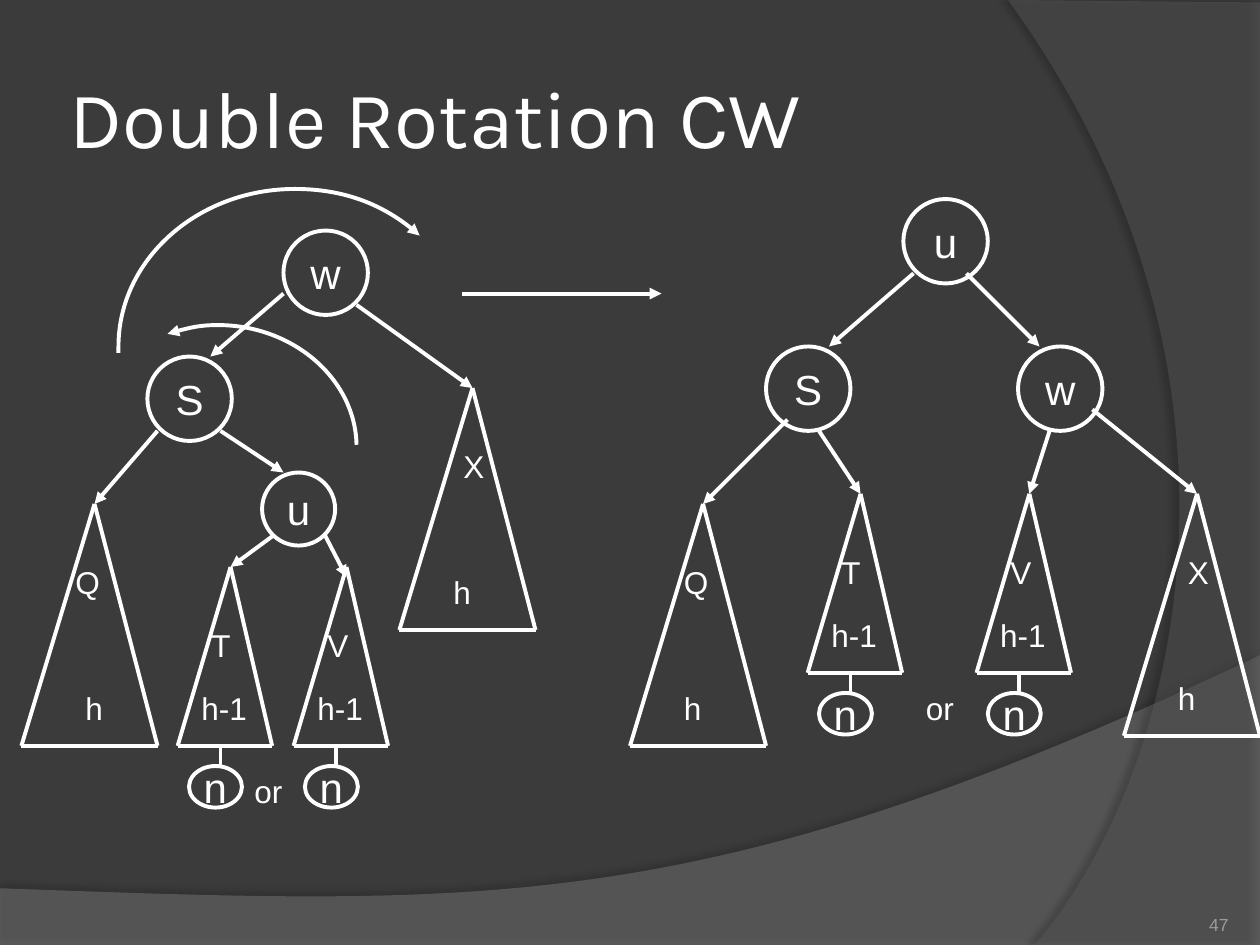
"""Build a slide showing a clockwise double rotation of a search tree."""
from dataclasses import dataclass

import pptx
import pptx.dml.color
import pptx.enum.shapes
import pptx.enum.text
import pptx.oxml.ns
import pptx.util
from lxml import etree

Inches = pptx.util.Inches
Align = pptx.enum.text.PP_ALIGN
Anchor = pptx.enum.text.MSO_ANCHOR
Fit = pptx.enum.text.MSO_AUTO_SIZE
qn = pptx.oxml.ns.qn
Point = tuple[float, float]
WHITE = "FFFFFF"


@dataclass
class Node:
    text: str
    left: float
    top: float
    width: float = 0.67
    height: float = 0.67


@dataclass
class Tree:
    name: str
    x: float
    y: float
    shift: float
    depth: str = "h"
    inset: float = -0.25


@dataclass
class Edge:
    start: Point
    end: Point
    tip: bool = True


@dataclass
class Label:
    text: str
    left: float
    top: float
    width: float


@dataclass
class Swoosh:
    corners: list[Point]
    curve: list[Point]
    fill: str
    alpha: int
    shade: int
    dist: float
    angle: int


NODES = [
    Node("S", 1.17, 2.83), Node("w", 2.25, 1.83),
    Node("u", 2.08, 3.75, 0.58, 0.58),
    Node("S", 6.08, 2.75), Node("u", 7.17, 1.58), Node("w", 8.08, 2.75),
]
TREES = [
    Tree("Q", 0.75, 4, -0.25, inset=-0.17), Tree("X", 3.75, 3.08, -0.17),
    Tree("T", 1.83, 4.5, -0.25, "h-1"), Tree("V", 2.75, 4.5, -0.25, "h-1"),
    Tree("Q", 5.58, 4, -0.25), Tree("X", 9.5, 3.92, -0.17),
    Tree("T", 6.83, 3.92, -0.25, "h-1"), Tree("V", 8.17, 3.92, -0.25, "h-1"),
]
EDGES = [
    Edge((1.25, 3.42), (0.75, 4)), Edge((1.75, 3.42), (2.25, 3.75)),
    Edge((2.25, 2.33), (1.67, 2.83)), Edge((2.83, 2.42), (3.75, 3.08)),
    Edge((2.17, 4.25), (1.83, 4.5)), Edge((2.58, 4.25), (2.75, 4.58)),
    Edge((3.67, 2.33), (5.25, 2.33)),
    Edge((6.25, 3.33), (5.58, 4)), Edge((6.5, 3.42), (6.83, 3.92)),
    Edge((8.33, 3.42), (8.17, 3.92)), Edge((8.67, 3.25), (9.5, 3.92)),
    Edge((7.25, 2.17), (6.58, 2.75)), Edge((7.67, 2.17), (8.25, 2.75)),
]
ARCS = [
    [(3.33, 1.87), (3.07, 1.63), (2.71, 1.5), (2.34, 1.5), (1.57, 1.5),
     (0.94, 2.06), (0.94, 2.75), (0.94, 2.77), (0.94, 2.79), (0.94, 2.8)],
    [(1.33, 2.65), (1.46, 2.61), (1.59, 2.58), (1.73, 2.58),
     (2.33, 2.58), (2.82, 3.01), (2.83, 3.53)],
]
SWOOSHES = [
    Swoosh([(0, 7.05), (0, 7.51), (10, 7.51)],
           [(10, 5.2), (5.59, 7.29), (3.91, 7.19), (0, 7.05)],
           "7F7F7F", 45, 35, 3.5, 270),
    Swoosh([(10, 0.02), (10, 7.5)],
           [(8.21, 7.5), (9.35, 6.19), (10.18, 3), (8, 0)],
           "5E5E5E", 40, 45, 4, 180),
]
WIDTHS = {"h": 0.34, "h-1": 0.56, "Q": 0.4, "X": 0.37, "T": 0.35, "V": 0.37}


def paint(code: str):
    return pptx.dml.color.RGBColor.from_string(code)


def write(frame, text: str, size: float, face: str = "Arial",
          code: str = WHITE, align=Align.LEFT, anchor=Anchor.TOP):
    frame.vertical_anchor = anchor
    para = frame.paragraphs[0]
    para.text, para.alignment = text, align
    para.font.size, para.font.name = pptx.util.Pt(size), face
    para.font.color.rgb = paint(code)


def stroke(shape, end: str = ""):
    shape.line.color.rgb = paint(WHITE)
    shape.line.width = pptx.util.Pt(2.25)
    if end:
        etree.SubElement(shape.element.spPr.find(qn("a:ln")), qn(f"a:{end}"), type="triangle")


def outline(shapes, corners: list[Point], curve: list[Point], close: bool):
    spots = [(Inches(x), Inches(y)) for x, y in corners + curve]
    pen = shapes.build_freeform(*spots[0])
    pen.add_line_segments(spots[1:], close=close)
    shape = pen.convert_to_shape()
    shape.shadow.inherit = False
    track = next(shape.element.iter(qn("a:path")))
    shape.width = min(shape.width, Inches(10) - shape.left)
    track.set("w", str(shape.width))
    legs = track.findall(qn("a:lnTo"))[:len(spots) - 1][1 - len(curve):]
    for i in range(0, len(legs), 3):
        bend = etree.Element(qn("a:cubicBezTo"))
        legs[i].addprevious(bend)
        for leg in legs[i:i + 3]:
            bend.append(leg[0])
            track.remove(leg)
    return shape


def draw_swoosh(shapes, item: Swoosh):
    shape = outline(shapes, item.corners, item.curve, True)
    shape.fill.solid()
    shape.fill.fore_color.rgb = paint(item.fill)
    shape.line.fill.background()
    spPr = shape.element.spPr
    color = spPr.find(f"{qn('a:solidFill')}/{qn('a:srgbClr')}")
    etree.SubElement(color, qn("a:alpha"), val=str(item.alpha * 1000))
    shade = etree.SubElement(
        spPr.find(qn("a:effectLst")), qn("a:outerShdw"), blurRad=str(pptx.util.Pt(4)),
        dist=str(pptx.util.Pt(item.dist)), dir=str(item.angle * 60000), rotWithShape="0")
    black = etree.SubElement(shade, qn("a:srgbClr"), val="000000")
    etree.SubElement(black, qn("a:alpha"), val=str(item.shade * 1000))


def draw_arc(shapes, curve: list[Point]):
    shape = outline(shapes, [], curve, False)
    shape.fill.background()
    stroke(shape, "headEnd")


def draw_edge(shapes, edge: Edge):
    ends = [Inches(v) for v in edge.start + edge.end]
    line = shapes.add_connector(pptx.enum.shapes.MSO_CONNECTOR.STRAIGHT, *ends)
    stroke(line, "tailEnd" if edge.tip else "")
    etree.SubElement(line.element.spPr, qn("a:effectLst"))


def draw_node(shapes, node: Node):
    box = [Inches(v) for v in (node.left, node.top, node.width, node.height)]
    shape = shapes.add_shape(pptx.enum.shapes.MSO_SHAPE.OVAL, *box)
    shape.shadow.inherit = False
    shape.fill.background()
    stroke(shape)
    shape.text_frame.word_wrap = False
    write(shape.text_frame, node.text, 24, align=Align.CENTER, anchor=Anchor.MIDDLE)


def draw_label(shapes, label: Label):
    box = [Inches(v) for v in (label.left, label.top, label.width, 0.4)]
    frame = shapes.add_textbox(*box).text_frame
    frame.word_wrap, frame.auto_size = False, Fit.SHAPE_TO_FIT_TEXT
    write(frame, label.text, 18)


def draw_tree(shapes, tree: Tree):
    x, y, small = tree.x, tree.y, tree.depth == "h-1"
    left, right, tall = (0.42, 0.33, 1.42) if small else (0.58, 0.5, 1.92)
    base = y + tall
    tips = [(x, y), (x - left, base), (x + right, base)]
    for a, b in zip(tips, tips[1:] + tips[:1]):
        draw_edge(shapes, Edge(a, b, False))
    inset = -0.33 if small else tree.inset
    draw_label(shapes, Label(tree.depth, x + inset, base - 0.5, WIDTHS[tree.depth]))
    draw_label(shapes, Label(tree.name, x + tree.shift, y + 0.42, WIDTHS[tree.name]))
    if small:
        draw_edge(shapes, Edge((x - 0.08, base), (x - 0.08, base + 0.16), False))
        draw_node(shapes, Node("n", x - 0.33, base + 0.16, 0.42, 0.33))


def draw_block(shapes, box: tuple, pad: float, text: str, size: float, **look):
    frame = shapes.add_textbox(*[Inches(v) for v in box]).text_frame
    frame.word_wrap = True
    frame.margin_left = frame.margin_right = Inches(pad)
    frame.margin_top = frame.margin_bottom = Inches(pad)
    write(frame, text, size, **look)


def main():
    deck = pptx.Presentation()
    deck.slide_width, deck.slide_height = Inches(10), Inches(7.5)
    slide = deck.slides.add_slide(deck.slide_layouts[6])
    slide.background.fill.solid()
    slide.background.fill.fore_color.rgb = paint("3B3B3B")
    shapes = slide.shapes
    for item in SWOOSHES:
        draw_swoosh(shapes, item)
    draw_block(shapes, (0.5, 0.3, 8.17, 1.25), 0.05, "Double Rotation CW", 46,
               face="Karla", anchor=Anchor.MIDDLE)
    for draw, items in ((draw_node, NODES), (draw_tree, TREES), (draw_edge, EDGES), (draw_arc, ARCS)):
        for item in items:
            draw(shapes, item)
    for left, top in ((1.92, 6.08), (7.25, 5.42)):
        draw_label(shapes, Label("or", left, top, 0.42))
    draw_block(shapes, (8.92, 7.02, 0.83, 0.4), 0, "47", 10, code="9D9B9A",
               align=Align.RIGHT, anchor=Anchor.BOTTOM)
    deck.save("out.pptx")


if __name__ == "__main__":
    main()
